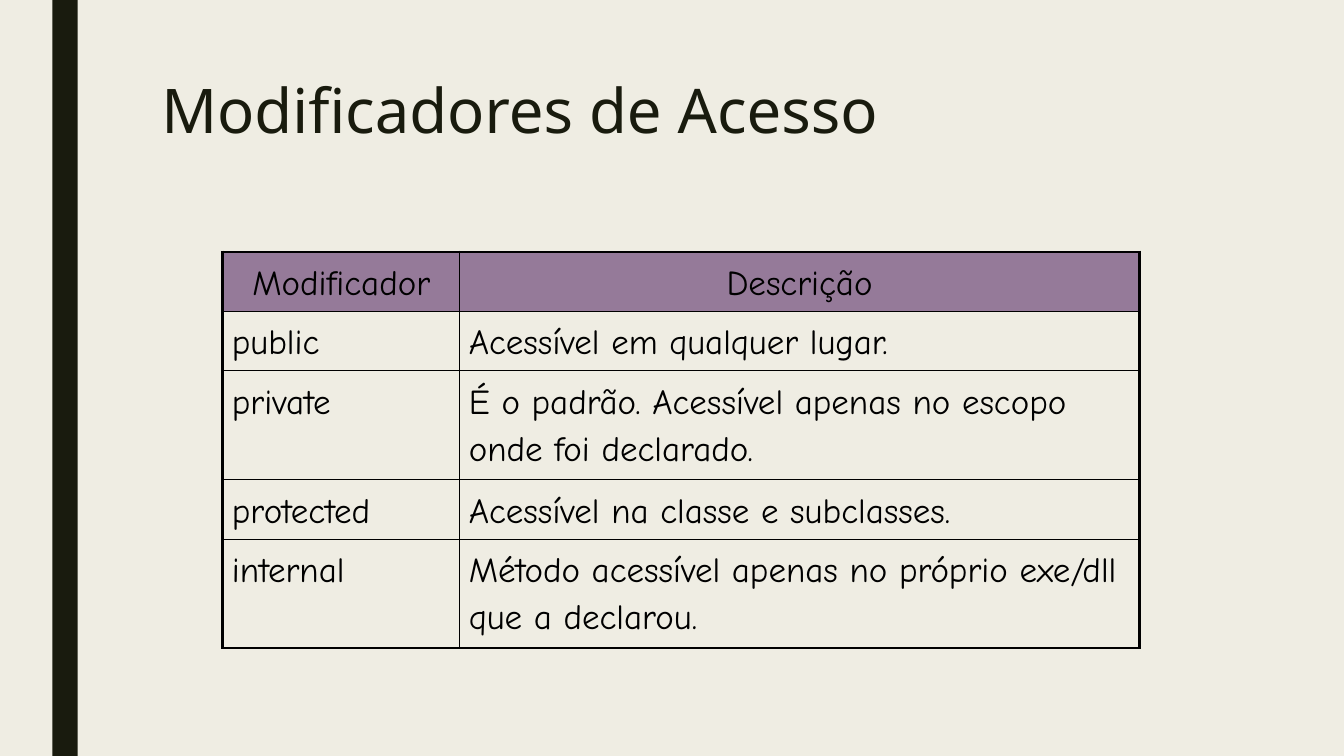
from lxml.etree import SubElement
from pptx import Presentation
from pptx.dml.color import RGBColor
from pptx.enum.shapes import MSO_SHAPE
from pptx.enum.text import MSO_ANCHOR, PP_ALIGN
from pptx.oxml.ns import qn
from pptx.util import Inches, Pt

CREAM = RGBColor(0xEF, 0xED, 0xE3)
DARK_OLIVE = RGBColor(0x19, 0x1B, 0x0E)
PURPLE = RGBColor(0x95, 0x7A, 0x99)
BLACK = RGBColor(0, 0, 0)

MODIFIERS = [
    ("Modificador", "Descrição"),
    ("public", "Acessível em qualquer lugar."),
    ("private", "É o padrão. Acessível apenas no escopo onde foi declarado."),
    ("protected", "Acessível na classe e subclasses."),
    ("internal", "Método acessível apenas no próprio exe/dll que a declarou."),
]
COLUMN_WIDTHS = [2.35, 6.74]
ROW_HEIGHTS = [0.59, 0.59, 1.08, 0.59, 1.08]


def add_borders(cell, widths):
    properties = cell._tc.get_or_add_tcPr()
    for position, (side, width) in enumerate(widths.items()):
        line = SubElement(properties, qn(f"a:{side}"), w=str(Pt(width)))
        solid = SubElement(line, qn("a:solidFill"))
        SubElement(solid, qn("a:srgbClr"), val=str(BLACK))
        properties.insert(position, line)


presentation = Presentation()
presentation.slide_width = Inches(13.33)
presentation.slide_height = Inches(7.5)
slide = presentation.slides.add_slide(presentation.slide_layouts[5])
slide.background.fill.solid()
slide.background.fill.fore_color.rgb = CREAM

side_bar = slide.shapes.add_shape(
    MSO_SHAPE.RECTANGLE, Inches(0.52), 0, Inches(0.25), Inches(7.5)
)
side_bar.shadow.inherit = False
side_bar.fill.solid()
side_bar.fill.fore_color.rgb = DARK_OLIVE
side_bar.line.fill.background()

title = slide.shapes.title
title.left, title.top = Inches(1.5), Inches(0.75)
title.width, title.height = Inches(10.5), Inches(1.62)
title.text_frame.text = "Modificadores de Acesso"
title.text_frame.vertical_anchor = MSO_ANCHOR.TOP
heading = title.text_frame.paragraphs[0]
heading.alignment = PP_ALIGN.LEFT
heading.line_spacing = 0.89
heading.font.name = "Noto Sans"
heading.font.size = Pt(44)
heading.font.color.rgb = DARK_OLIVE

modifier_table = slide.shapes.add_table(
    len(MODIFIERS), len(COLUMN_WIDTHS), Inches(2.21), Inches(2.5),
    Inches(sum(COLUMN_WIDTHS)), Inches(sum(ROW_HEIGHTS)),
).table
modifier_table.first_row = False
modifier_table.horz_banding = False
for column, width in zip(modifier_table.columns, COLUMN_WIDTHS):
    column.width = Inches(width)
for row, height in zip(modifier_table.rows, ROW_HEIGHTS):
    row.height = Inches(height)

last_row = len(MODIFIERS) - 1
last_column = len(COLUMN_WIDTHS) - 1
for row_index, entries in enumerate(MODIFIERS):
    for column_index, entry in enumerate(entries):
        cell = modifier_table.cell(row_index, column_index)
        cell.margin_left = cell.margin_right = Inches(0.09)
        cell.margin_top = cell.margin_bottom = Inches(0.05)
        cell.text = entry
        paragraph = cell.text_frame.paragraphs[0]
        paragraph.line_spacing = 1.17
        paragraph.space_after = Pt(14.2)
        paragraph.font.name = "Comic Neue"
        paragraph.font.size = Pt(25)
        paragraph.font.color.rgb = BLACK
        if row_index == 0:
            paragraph.alignment = PP_ALIGN.CENTER
            cell.fill.solid()
            cell.fill.fore_color.rgb = PURPLE
        else:
            paragraph.alignment = PP_ALIGN.LEFT
            cell.fill.background()
        add_borders(cell, {
            "lnL": 2.25 if column_index == 0 else 1,
            "lnR": 2.25 if column_index == last_column else 1,
            "lnT": 2.25 if row_index == 0 else 1,
            "lnB": 2.25 if row_index == last_row else 1,
        })

presentation.save("out.pptx")
